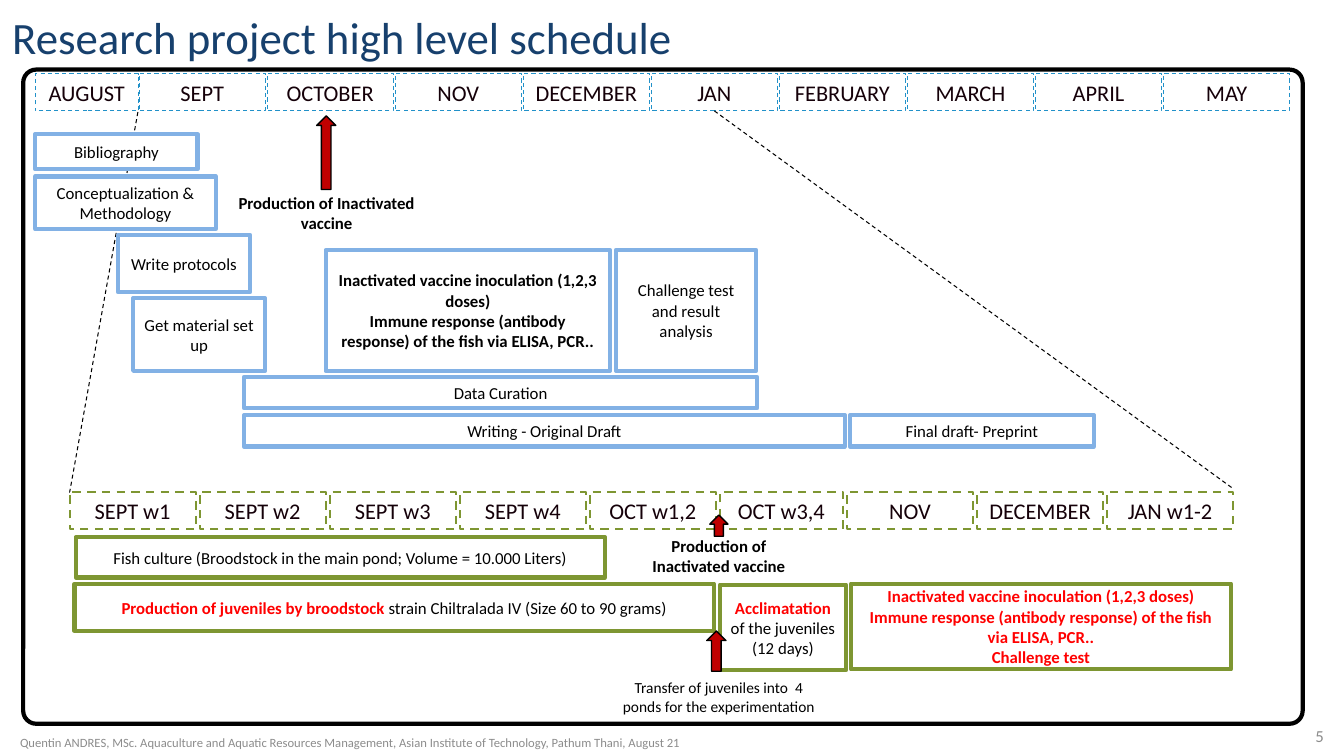
from lxml import etree
from pptx import Presentation
from pptx.dml.color import RGBColor
from pptx.enum import dml, shapes, text
from pptx.oxml import ns
from pptx.util import Inches, Pt

BLACK, WHITE, RED, GRAY = "000000", "FFFFFF", "FF0000", "8C8C8C"
BLUE, GREEN, MONTH_BLUE, INK = "82B1E5", "7E9632", "2191C9", "150009"
CENTER, LEFT, RIGHT = text.PP_ALIGN.CENTER, text.PP_ALIGN.LEFT, text.PP_ALIGN.RIGHT
MIDDLE, TOP = text.MSO_ANCHOR.MIDDLE, text.MSO_ANCHOR.TOP

MONTHS = ["SEPT", "OCTOBER", "NOV", "DECEMBER", "JAN", "FEBRUARY", "MARCH", "APRIL", "MAY"]
WEEKS = ["SEPT w1", "SEPT w2", "SEPT w3", "SEPT w4", "OCT w1,2", "OCT w3,4",
         "NOV", "DECEMBER", "JAN w1-2"]
INOCULATION = ["Inactivated vaccine inoculation (1,2,3 doses)",
               "Immune response (antibody response) of the fish via ELISA, PCR.."]
VACCINE = ["Production of Inactivated vaccine"]

PROJECT_TASKS = [
    (["Bibliography"], 0.35, 1.33, 1.61, 0.35, WHITE),
    (["Conceptualization &", "Methodology"], 0.35, 1.75, 1.79, 0.52, WHITE),
    (["Write protocols"], 1.17, 2.33, 1.31, 0.57, None),
    (["Get material set up"], 1.32, 2.96, 1.31, 0.72, None),
    (["Challenge test and result analysis"], 6.11, 2.48, 1.39, 1.2, None),
    (["Data Curation"], 2.42, 3.74, 5.09, 0.31, None),
    (["Writing - Original Draft"], 2.42, 4.12, 5.96, 0.31, None),
    (["Final draft- Preprint"], 8.43, 4.12, 2.42, 0.31, None),
]
FISH_TASKS = [
    (["Fish culture (Broodstock in the main pond; Volume = 10.000 Liters)"],
     0.75, 5.33, 5.25, 0.4),
    ([[("Production of juveniles by broodstock ", RED, True),
       ("strain Chiltralada IV (Size 60 to 90 grams)", BLACK, False)]],
     0.74, 5.79, 6.34, 0.47),
    ([[("Acclimatation", RED, True), (" of the juveniles (12 days)", BLACK, False)]],
     7.14, 5.8, 1.25, 0.85),
]
ARROWS = [(3.14, 1.15, 0.19, 0.73), (7.04, 5.11, 0.18, 0.21), (7.01, 6.26, 0.19, 0.4)]


def rgb(value):
    return RGBColor.from_string(value)


def write(sp, paragraphs, size=12, color=BLACK, bold=False, align=CENTER, anchor=MIDDLE):
    tf = sp.text_frame
    tf.word_wrap = True
    tf.vertical_anchor = anchor
    for i, content in enumerate(paragraphs):
        p = tf.paragraphs[0] if i == 0 else tf.add_paragraph()
        p.alignment = align
        p.font.size, p.font.name = Pt(size), "Calibri"
        if isinstance(content, str):
            p.text = content
            p.font.bold, p.font.color.rgb = bold, rgb(color)
            continue
        for run_text, run_color, run_bold in content:
            r = p.add_run()
            r.text = run_text
            r.font.bold, r.font.color.rgb = run_bold, rgb(run_color)


def add_label(slide, paragraphs, x, y, w, h, **style):
    sp = slide.shapes.add_textbox(Inches(x), Inches(y), Inches(w), Inches(h))
    write(sp, paragraphs, **style)
    return sp


def add_box(slide, x, y, w, h, line, width=3, fill=None, kind=shapes.MSO_SHAPE.RECTANGLE):
    sp = slide.shapes.add_shape(kind, Inches(x), Inches(y), Inches(w), Inches(h))
    sp.shadow.inherit = False
    if fill:
        sp.fill.solid()
        sp.fill.fore_color.rgb = rgb(fill)
    else:
        sp.fill.background()
    sp.line.color.rgb = rgb(line)
    sp.line.width = Pt(width)
    return sp


def add_task(slide, paragraphs, x, y, w, h, line, fill=None, **style):
    write(add_box(slide, x, y, w, h, line, fill=fill), paragraphs, **style)


def add_period(slide, name, x, y, w, line, width):
    sp = add_box(slide, x, y, w, 0.37, line, width, WHITE)
    sp.line.dash_style = dml.MSO_LINE.DASH
    write(sp, [name], 16, INK)
    return sp


def add_timeline(slide, names, x, y, gap, line, width, widths):
    periods = {}
    for name in names:
        w = widths.get(name, 1.25)
        periods[name] = add_period(slide, name, x, y, w, line, width)
        x += w + gap
    return periods


def add_zoom_line(slide, x1, y1, x2, y2):
    line = slide.shapes.add_connector(shapes.MSO_CONNECTOR.STRAIGHT,
                                      Inches(x1), Inches(y1), Inches(x2), Inches(y2))
    line.line.color.rgb = rgb(BLACK)
    line.line.width = Pt(0.75)
    line.line.dash_style = dml.MSO_LINE.DASH
    etree.SubElement(line._element.spPr, ns.qn("a:effectLst"))
    return line


def main():
    prs = Presentation()
    prs.slide_width, prs.slide_height = Inches(13.33), Inches(7.5)
    slide = prs.slides.add_slide(prs.slide_layouts[6])

    add_zoom_line(slide, 0.69, 4.89, 1.37, 1.1)
    title = add_label(slide, ["Research project high level schedule"], 0, 0, 6.79, 0.69,
                      size=32, color="17406D", anchor=text.MSO_ANCHOR.BOTTOM)
    title.text_frame.margin_left = title.text_frame.margin_right = 0
    title.text_frame.paragraphs[0].line_spacing = 0.9
    frame = add_box(slide, 0.23, 0.69, 12.69, 6.49, BLACK,
                    kind=shapes.MSO_SHAPE.ROUNDED_RECTANGLE)
    frame.adjustments[0] = 0.02

    add_period(slide, "AUGUST", 0.35, 0.73, 1.02, MONTH_BLUE, 0.75)
    months = add_timeline(slide, MONTHS, 1.38, 0.73, 0.02, MONTH_BLUE, 0.75, {})
    add_timeline(slide, WEEKS, 0.69, 4.88, 0.04, GREEN, 1.5, {"OCT w3,4": 1.22})
    add_zoom_line(slide, 7.08, 1.1, 12.22, 4.84).begin_connect(months["JAN"], 2)

    for paragraphs, x, y, w, h, fill in PROJECT_TASKS:
        add_task(slide, paragraphs, x, y, w, h, BLUE, fill)
    for paragraphs, x, y, w, h in FISH_TASKS:
        add_task(slide, paragraphs, x, y, w, h, GREEN)
    add_task(slide, INOCULATION, 3.23, 2.48, 2.82, 1.2, BLUE, bold=True)
    add_task(slide, INOCULATION + ["Challenge test"], 8.44, 5.79, 3.77, 0.85, GREEN,
             color=RED, bold=True)

    add_label(slide, VACCINE, 2.22, 1.58, 2.04, 1.06, bold=True)
    add_label(slide, VACCINE, 6.16, 5.36, 1.94, 0.31, bold=True)
    add_label(slide, ["Transfer of juveniles into  4 ponds for the experimentation"],
              6.07, 6.68, 2.12, 0.47, size=11, anchor=TOP)
    for x, y, w, h in ARROWS:
        add_box(slide, x, y, w, h, BLACK, 1, "C00000", shapes.MSO_SHAPE.UP_ARROW)

    add_label(slide, ["Quentin ANDRES, MSc. Aquaculture and Aquatic Resources Management, "
                      "Asian Institute of Technology, Pathum Thani, August 21"],
              0.1, 7.24, 8.82, 0.26, size=9, color=GRAY, align=LEFT)
    add_label(slide, ["5"], 12.62, 7.1, 0.61, 0.4, color=GRAY, align=RIGHT)
    prs.save("out.pptx")


if __name__ == "__main__":
    main()
